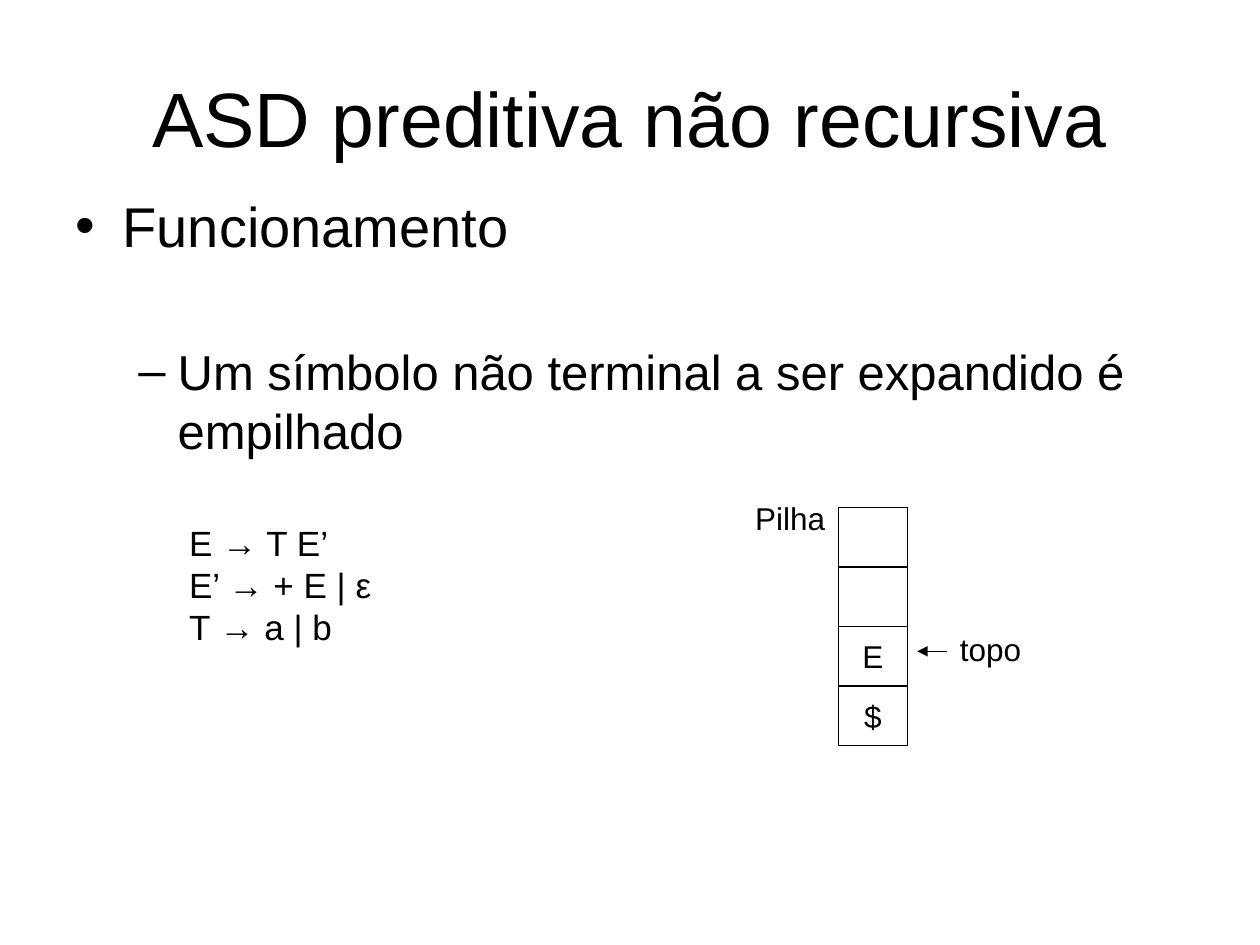
from dataclasses import dataclass

from lxml import etree
from pptx import Presentation
from pptx.dml.color import RGBColor
from pptx.enum import shapes, text
from pptx.oxml import ns
from pptx.util import Pt

BLACK = RGBColor(0x00, 0x00, 0x00)
FONT = "Arial"
CELL_LEFT, CELL_WIDTH, CELL_HEIGHT = 479, 39.6, 34
STACK_TOP = 290


@dataclass(frozen=True)
class Line:
    words: str
    size: float
    align: text.PP_ALIGN = text.PP_ALIGN.LEFT
    margin: float = 0
    hanging: float = 0
    before: float = 0
    bullet: str = ""


@dataclass(frozen=True)
class Block:
    left: float
    top: float
    width: float
    height: float
    lines: tuple[Line, ...]
    anchor: text.MSO_ANCHOR = text.MSO_ANCHOR.TOP
    wrap: bool = True
    grow: bool = False


BLOCKS = (
    Block(36, 21.6, 648, 90,
          (Line("ASD preditiva não recursiva", 44, text.PP_ALIGN.CENTER),),
          anchor=text.MSO_ANCHOR.MIDDLE),
    Block(36, 105.8, 648, 377.3, (
        Line("Funcionamento", 32, margin=27, hanging=27, before=8, bullet="•"),
        Line("Um símbolo não terminal a ser expandido é empilhado", 28,
             margin=58.5, hanging=22.5, before=47.5, bullet="–"),
    )),
    Block(65, 294.5, 218.2, 79.2, tuple(
        Line(rule, 20, margin=36)
        for rule in ("E → T E’", "E’ → + E | ε", "T → a | b")
    ), grow=True),
    Block(424.5, 281.5, 56, 28.8, (Line("Pilha", 18),), wrap=False, grow=True),
    Block(541.4, 356.4, 51, 28.8, (Line("topo", 18),), wrap=False, grow=True),
)
STACK = ("", "", "E", "$")


def write_line(paragraph, line: Line) -> None:
    paragraph.text = line.words
    paragraph.alignment = line.align
    paragraph.space_before = Pt(line.before)
    properties = paragraph._p.get_or_add_pPr()
    properties.set("marL", str(Pt(line.margin)))
    properties.set("indent", str(-Pt(line.hanging)))
    if line.bullet:
        etree.SubElement(properties, ns.qn("a:buFont"), typeface=FONT)
        etree.SubElement(properties, ns.qn("a:buChar"), char=line.bullet)
    paragraph.font.name = FONT
    paragraph.font.size = Pt(line.size)
    paragraph.font.color.rgb = BLACK


def draw_block(slide, block: Block) -> None:
    box = slide.shapes.add_textbox(
        Pt(block.left), Pt(block.top), Pt(block.width), Pt(block.height))
    frame = box.text_frame
    frame.word_wrap = block.wrap
    frame.vertical_anchor = block.anchor
    if block.grow:
        frame.auto_size = text.MSO_AUTO_SIZE.SHAPE_TO_FIT_TEXT
    for index, line in enumerate(block.lines):
        write_line(frame.add_paragraph() if index else frame.paragraphs[0], line)


def draw_cell(slide, row: int, symbol: str) -> None:
    cell = slide.shapes.add_shape(
        shapes.MSO_SHAPE.RECTANGLE, Pt(CELL_LEFT),
        Pt(STACK_TOP + row * CELL_HEIGHT), Pt(CELL_WIDTH), Pt(CELL_HEIGHT))
    cell.shadow.inherit = False
    cell.fill.background()
    cell.line.color.rgb = BLACK
    cell.line.width = Pt(0.75)
    if symbol:
        cell.text_frame.word_wrap = False
        cell.text_frame.vertical_anchor = text.MSO_ANCHOR.MIDDLE
        write_line(cell.text_frame.paragraphs[0],
                   Line(symbol, 18, text.PP_ALIGN.CENTER))


def draw_arrow(slide, start: float, end: float, height: float) -> None:
    arrow = slide.shapes.add_connector(
        shapes.MSO_CONNECTOR.STRAIGHT, Pt(start), Pt(height), Pt(end), Pt(height))
    arrow.line.color.rgb = BLACK
    arrow.line.width = Pt(0.75)
    properties = arrow.element.spPr
    outline = properties.find(ns.qn("a:ln"))
    etree.SubElement(outline, ns.qn("a:tailEnd"), type="triangle")
    etree.SubElement(properties, ns.qn("a:effectLst"))


def main() -> None:
    deck = Presentation()
    deck.slide_width, deck.slide_height = Pt(720), Pt(540)
    slide = deck.slides.add_slide(deck.slide_layouts[6])
    for block in BLOCKS:
        draw_block(slide, block)
    for row, symbol in enumerate(STACK):
        draw_cell(slide, row, symbol)
    draw_arrow(slide, 541.4, 524.2, 372.2)
    deck.save("out.pptx")


if __name__ == "__main__":
    main()
